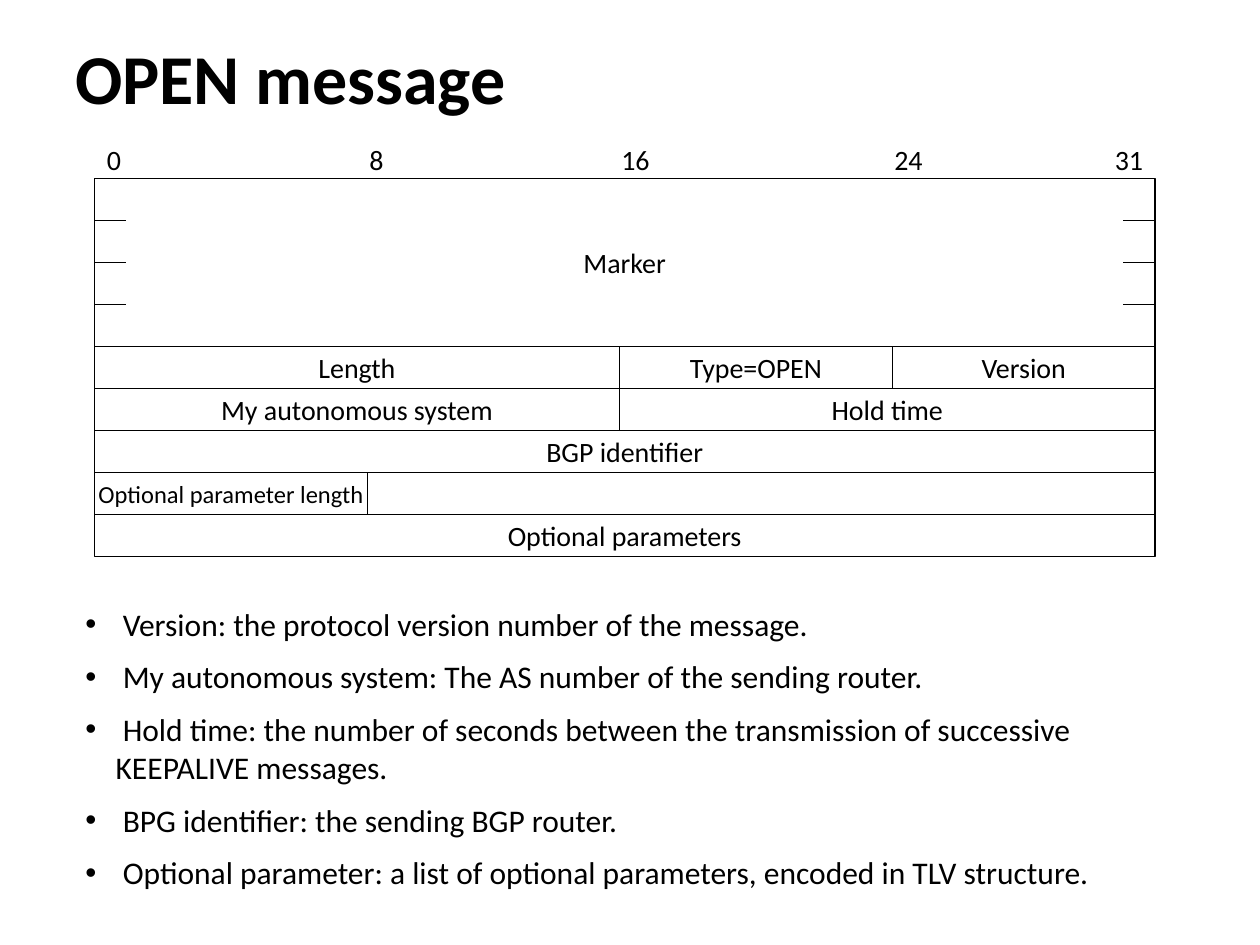
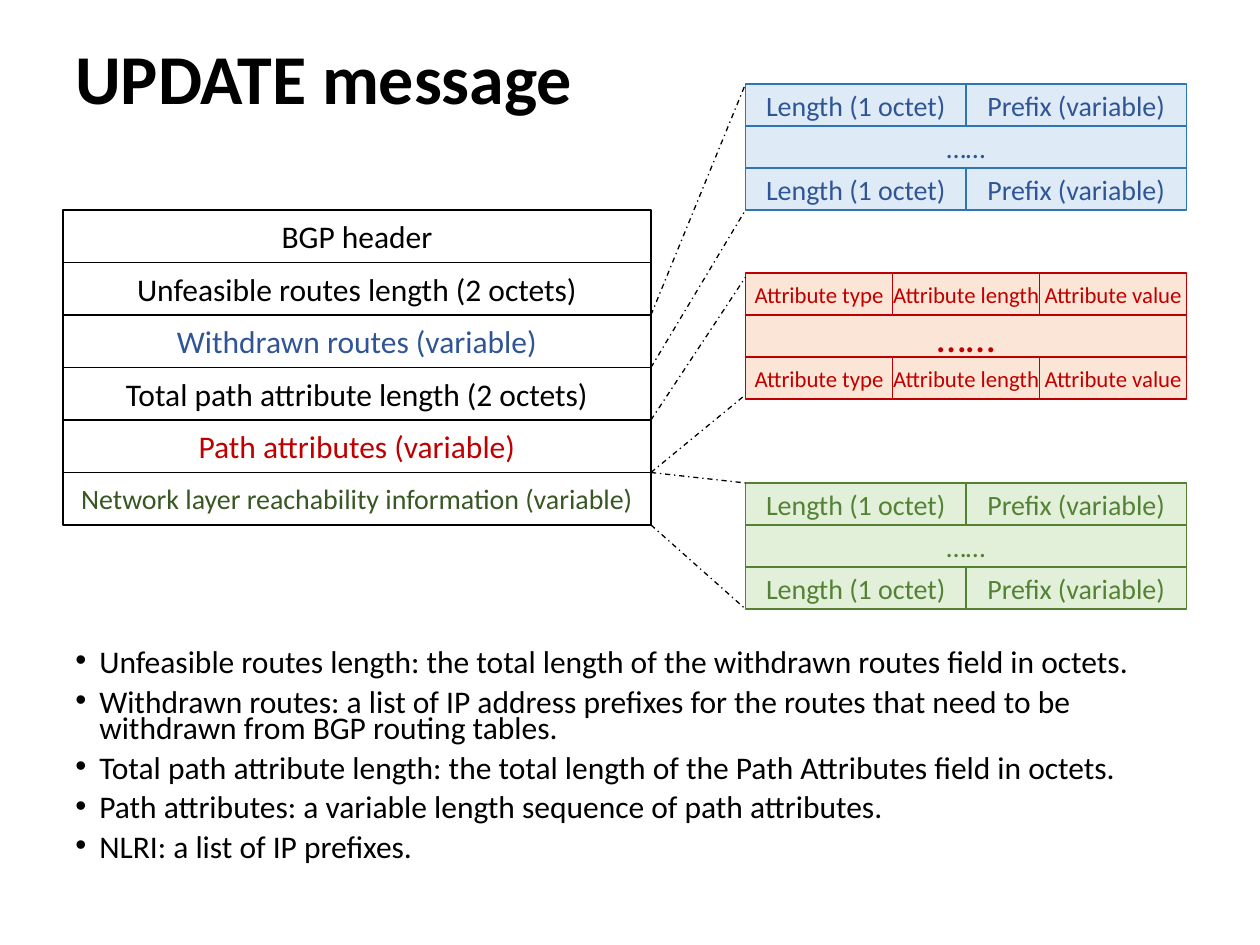
from lxml import etree
from pptx import Presentation
from pptx.dml.color import RGBColor
from pptx.enum.dml import MSO_LINE
from pptx.enum.shapes import MSO_CONNECTOR, MSO_SHAPE
from pptx.enum.text import MSO_ANCHOR, PP_ALIGN
from pptx.oxml.ns import qn
from pptx.util import Inches, Pt

# Shared style
FONT = "Calibri"
BLACK = "000000"
LINE_WIDTH = 0.75
UNITS_PER_INCH = 12  # all diagrams sit on a grid of twelfths of an inch
ROW = 4              # height of one packet row, in grid units

# OPEN message: rows of (label, size, width in units)
OPEN_TITLE = "OPEN message"
OPEN_LEFT, OPEN_TOP, OPEN_WIDTH = 9, 17, 101
MARKER_ROWS, TICK = 4, 3
BIT_LABELS = [("0", 9), ("8", 34), ("16", 58), ("24", 84), ("31", 105)]
OPEN_ROWS = [
    [("Length", 16, 50), ("Type=OPEN", 16, 26), ("Version", 16, 25)],
    [("My autonomous system", 16, 50), ("Hold time", 16, 51)],
    [("BGP identifier", 16, 101)],
    [("Optional parameter length", 14, 26), ("", 16, 75)],
    [("Optional parameters", 16, 101)],
]
OPEN_NOTES = [
    " Version: the protocol version number of the message.",
    " My autonomous system: The AS number of the sending router.",
    " Hold time: the number of seconds between the transmission of successive KEEPALIVE messages.",
    " BPG identifier: the sending BGP router.",
    " Optional parameter: a list of optional parameters, encoded in TLV structure.",
]

# UPDATE message: fields of (label, size, colour)
UPDATE_TITLE = "UPDATE message"
UPDATE_LEFT, UPDATE_TOP, UPDATE_WIDTH, UPDATE_ROW = 6, 20, 56, 5
UPDATE_FIELDS = [
    ("BGP header", 18, BLACK),
    ("Unfeasible routes length (2 octets)", 18, BLACK),
    ("Withdrawn routes (variable)", 18, "2F5597"),
    ("Total path attribute length (2 octets)", 18, BLACK),
    ("Path attributes (variable)", 18, "C00000"),
    ("Network layer reachability information (variable)", 16, "385723"),
]
DETAIL_LEFT, DETAIL_WIDTH = 71, 42
PREFIX_LABELS = ["Length (1 octet)", "Prefix (variable)"]
ATTRIBUTE_LABELS = ["Attribute type", "Attribute length", "Attribute value"]
# "field" is the row explained; "ends" are where its two guide lines arrive
DETAILS = [
    dict(field=2, top=8, labels=PREFIX_LABELS, size=16, dots=16,
         fill="DEEBF7", line="2E75B6", text="2F5597", ends=(8, 20)),
    dict(field=4, top=26, labels=ATTRIBUTE_LABELS, size=13, dots=24,
         fill="FBE5D6", line="C00000", text="C00000", ends=(26.4, 37.6)),
    dict(field=5, top=46, labels=PREFIX_LABELS, size=16, dots=16,
         fill="E2F0D9", line="548235", text="548235", ends=(46, 58)),
]
UPDATE_NOTES = [
    "Unfeasible routes length: the total length of the withdrawn routes field in octets.",
    "Withdrawn routes: a list of IP address prefixes for the routes that need to be "
    "withdrawn from BGP routing tables.",
    "Total path attribute length: the total length of the Path Attributes field in octets.",
    "Path attributes: a variable length sequence of path attributes.",
    "NLRI: a list of IP prefixes.",
]


def color(hex_string):
    return RGBColor.from_string(hex_string)


def grid(units):
    return Inches(units / UNITS_PER_INCH)


def add_run(paragraph, text, size, text_color=BLACK, bold=False):
    run = paragraph.add_run()
    run.text = text
    run.font.name, run.font.size, run.font.bold = FONT, Pt(size), bold
    run.font.color.rgb = color(text_color)


def add_text_frame(slide, left, top, width, height):
    frame = slide.shapes.add_textbox(left, top, width, height).text_frame
    frame.word_wrap = True
    return frame


def add_title(slide, text):
    frame = add_text_frame(slide, Inches(0.5), Inches(0.3), Inches(9), Inches(1.25))
    frame.paragraphs[0].line_spacing = 0.9
    add_run(frame.paragraphs[0], text, 40, bold=True)


def add_bullets(slide, notes, left, top, height, indent, line_spacing, space_before):
    frame = add_text_frame(slide, Inches(left), Inches(top), Inches(9), Inches(height))
    for index, note in enumerate(notes):
        paragraph = frame.add_paragraph() if index else frame.paragraphs[0]
        paragraph.line_spacing = line_spacing
        paragraph.space_before = Pt(space_before)
        properties = paragraph._p.get_or_add_pPr()
        properties.set("marL", str(Inches(indent)))
        properties.set("indent", str(-Inches(indent)))
        etree.SubElement(properties, qn("a:buFont")).set("typeface", "Arial")
        etree.SubElement(properties, qn("a:buChar")).set("char", "•")
        add_run(paragraph, note, 18)


def add_cell(slide, left, top, width, height, text, size,
             text_color=BLACK, fill=None, line=BLACK):
    shape = slide.shapes.add_shape(
        MSO_SHAPE.RECTANGLE, grid(left), grid(top), grid(width), grid(height))
    shape.shadow.inherit = False
    if fill:
        shape.fill.solid()
        shape.fill.fore_color.rgb = color(fill)
    else:
        shape.fill.background()
    shape.line.color.rgb = color(line)
    shape.line.width = Pt(LINE_WIDTH)
    frame = shape.text_frame
    frame.word_wrap = False
    frame.vertical_anchor = MSO_ANCHOR.MIDDLE
    frame.paragraphs[0].alignment = PP_ALIGN.CENTER
    if text:
        add_run(frame.paragraphs[0], text, size, text_color)


def add_line(slide, start_x, start_y, end_x, end_y, dash=None):
    connector = slide.shapes.add_connector(
        MSO_CONNECTOR.STRAIGHT, grid(start_x), grid(start_y), grid(end_x), grid(end_y))
    connector.line.color.rgb = color(BLACK)
    connector.line.width = Pt(LINE_WIDTH)
    if dash:
        connector.line.dash_style = dash
    etree.SubElement(connector._element.spPr, qn("a:effectLst"))


def build_open_slide(slide):
    add_title(slide, OPEN_TITLE)
    # Marker field with row ticks on both sides
    add_cell(slide, OPEN_LEFT, OPEN_TOP, OPEN_WIDTH, MARKER_ROWS * ROW, "Marker", 16)
    for row in range(1, MARKER_ROWS):
        y = OPEN_TOP + row * ROW
        for x in (OPEN_LEFT, OPEN_LEFT + OPEN_WIDTH - TICK):
            add_line(slide, x, y, x + TICK, y)
    # Remaining fields
    for index, fields in enumerate(OPEN_ROWS, MARKER_ROWS):
        left = OPEN_LEFT
        for label, size, width in fields:
            add_cell(slide, left, OPEN_TOP + index * ROW, width, ROW, label, size)
            left += width
    # Bit positions
    for label, left in BIT_LABELS:
        frame = add_text_frame(slide, grid(left), grid(OPEN_TOP - ROW),
                               Inches(0.5), Inches(0.37))
        add_run(frame.paragraphs[0], label, 16)
    add_bullets(slide, OPEN_NOTES, 0.58, 4.75, 2.51, 0.24, 1.0, 8.5)


def build_update_slide(slide):
    add_title(slide, UPDATE_TITLE)
    add_bullets(slide, UPDATE_NOTES, 0.5, 5.13, 1.87, 0.19, 0.7, 7.5)
    # Message fields
    for index, (label, size, text_color) in enumerate(UPDATE_FIELDS):
        add_cell(slide, UPDATE_LEFT, UPDATE_TOP + index * UPDATE_ROW,
                 UPDATE_WIDTH, UPDATE_ROW, label, size, text_color)
    # Detail blocks: first entry, dots, last entry, and guide lines to the field
    for detail in DETAILS:
        style = detail["text"], detail["fill"], detail["line"]
        width = DETAIL_WIDTH / len(detail["labels"])
        for row in (0, 2):
            for column, label in enumerate(detail["labels"]):
                add_cell(slide, DETAIL_LEFT + column * width, detail["top"] + row * ROW,
                         width, ROW, label, detail["size"], *style)
        add_cell(slide, DETAIL_LEFT, detail["top"] + ROW, DETAIL_WIDTH, ROW,
                 "……", detail["dots"], *style)
        for edge, end_y in enumerate(detail["ends"], detail["field"]):
            add_line(slide, UPDATE_LEFT + UPDATE_WIDTH, UPDATE_TOP + edge * UPDATE_ROW,
                     DETAIL_LEFT, end_y, MSO_LINE.DASH_DOT)


presentation = Presentation()
presentation.slide_width, presentation.slide_height = Inches(10), Inches(7.5)
for build in (build_open_slide, build_update_slide):
    build(presentation.slides.add_slide(presentation.slide_layouts[6]))
presentation.save("out.pptx")
